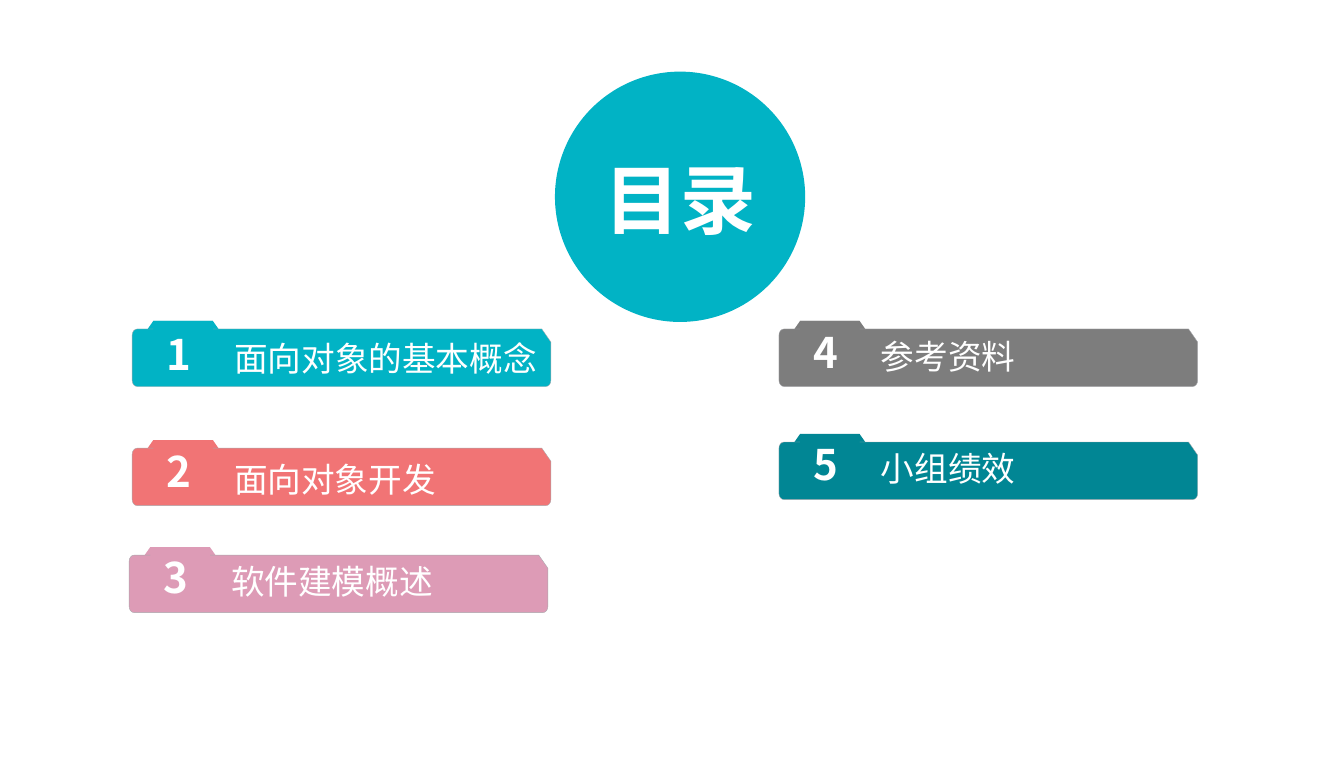
import math
import lxml.etree
import pptx
import pptx.dml.color
import pptx.enum.shapes
import pptx.enum.text
import pptx.oxml.ns
import pptx.util

Inches = pptx.util.Inches
RGBColor = pptx.dml.color.RGBColor
SHAPE = pptx.enum.shapes.MSO_SHAPE

TEAL = RGBColor(0x01, 0xB3, 0xC5)
CORAL = RGBColor(0xF1, 0x74, 0x75)
PINK = RGBColor(0xDD, 0x9B, 0xB6)
GRAY = RGBColor(0x7D, 0x7D, 0x7D)
DARK_TEAL = RGBColor(0x01, 0x86, 0x94)
OUTLINE = RGBColor(0xA8, 0xA9, 0xAD)
WHITE = RGBColor(0xFF, 0xFF, 0xFF)
FONT = "Noto Sans CJK SC"


def paint(shape, color):
    shape.shadow.inherit = False
    shape.fill.solid()
    shape.fill.fore_color.rgb = color
    shape.line.fill.background()


def write(shape, text, size, bold, wrap, align, inset):
    frame = shape.text_frame
    frame.text = text
    frame.word_wrap = wrap
    frame.auto_size = pptx.enum.text.MSO_AUTO_SIZE.NONE
    frame.vertical_anchor = pptx.enum.text.MSO_ANCHOR.MIDDLE
    frame.margin_left = frame.margin_right = Inches(inset)
    frame.margin_top = frame.margin_bottom = Inches(inset)
    para = frame.paragraphs[0]
    para.alignment = align
    para.line_spacing = 1.0
    font = para.runs[0].font
    font.name = FONT
    font.size = pptx.util.Pt(size)
    font.bold = bold
    font.color.rgb = WHITE
    east_asian = lxml.etree.SubElement(
        para.runs[0].font._element, pptx.oxml.ns.qn("a:ea"))
    east_asian.set("typeface", FONT)


deck = pptx.Presentation()
deck.slide_width, deck.slide_height = Inches(13.32), Inches(7.5)
page = deck.slides.add_slide(deck.slide_layouts[5])

# Title on a circle
circle = page.shapes.add_shape(
    SHAPE.OVAL, Inches(5.5), Inches(0.71), Inches(2.48), Inches(2.48))
paint(circle, TEAL)
title = page.shapes.title
title.left, title.top = Inches(5.94), Inches(1.39)
title.width, title.height = Inches(1.61), Inches(1.14)
write(title, "目录", 54, True, False, pptx.enum.text.PP_ALIGN.CENTER, 0.05)
circle._element.addnext(title._element)

# Folder outlines, relative to the folder's top left corner
tab_points = [(0.21, 0), (0.8, 0), (0.87, 0.1), (0.14, 0.1)]
body_points = [(0.05, 0.08), (4.06, 0.08), (4.15, 0.21)]
for center_x, center_y, start in [(4.1, 0.59, 0), (0.05, 0.59, 90), (0.05, 0.14, 180)]:
    for step in range(5):
        angle = math.radians(start + 22.5 * step)
        body_points.append((center_x + 0.05 * math.cos(angle),
                            center_y + 0.06 * math.sin(angle)))

# Entries: left, top, colour, text, label width, label drop, number drop
entries = [
    (1.31, 3.18, TEAL, "面向对象的基本概念", 3.11, 0.13, 0.04),
    (1.31, 4.36, CORAL, "面向对象开发", 2.1, 0.15, 0.02),
    (1.28, 5.42, PINK, "软件建模概述", 2.56, 0.1, 0.01),
    (7.72, 3.18, GRAY, "参考资料", 1.5, 0.11, 0.02),
    (7.72, 4.3, DARK_TEAL, "小组绩效", 1.5, 0.1, 0.01),
]
for number, entry in enumerate(entries, 1):
    left, top, color, text, label_width, label_drop, number_drop = entry
    folder = page.shapes.add_group_shape()

    # Tab and folder body
    for points in (tab_points, body_points):
        corners = [(Inches(left + x), Inches(top + y)) for x, y in points]
        builder = folder.shapes.build_freeform(*corners[0])
        builder.add_line_segments(corners[1:], close=True)
        outline = builder.convert_to_shape()
        paint(outline, color)
    outline.line.color.rgb = OUTLINE
    outline.line.width = pptx.util.Pt(0.25)

    # Number backing, label and number
    boxes = [
        (0.21, 0, 0.59, 0.61, "", 0, False),
        (0.97, label_drop, label_width, 0.48, text, 24, False),
        (0.3, number_drop, 0.32, 0.57, str(number), 30, True),
    ]
    for x, y, width, height, words, size, bold in boxes:
        box = folder.shapes.add_shape(
            SHAPE.RECTANGLE, Inches(left + x), Inches(top + y),
            Inches(width), Inches(height))
        paint(box, color)
        if words:
            write(box, words, size, bold, not bold,
                  pptx.enum.text.PP_ALIGN.LEFT, 0.04)

deck.save("out.pptx")
